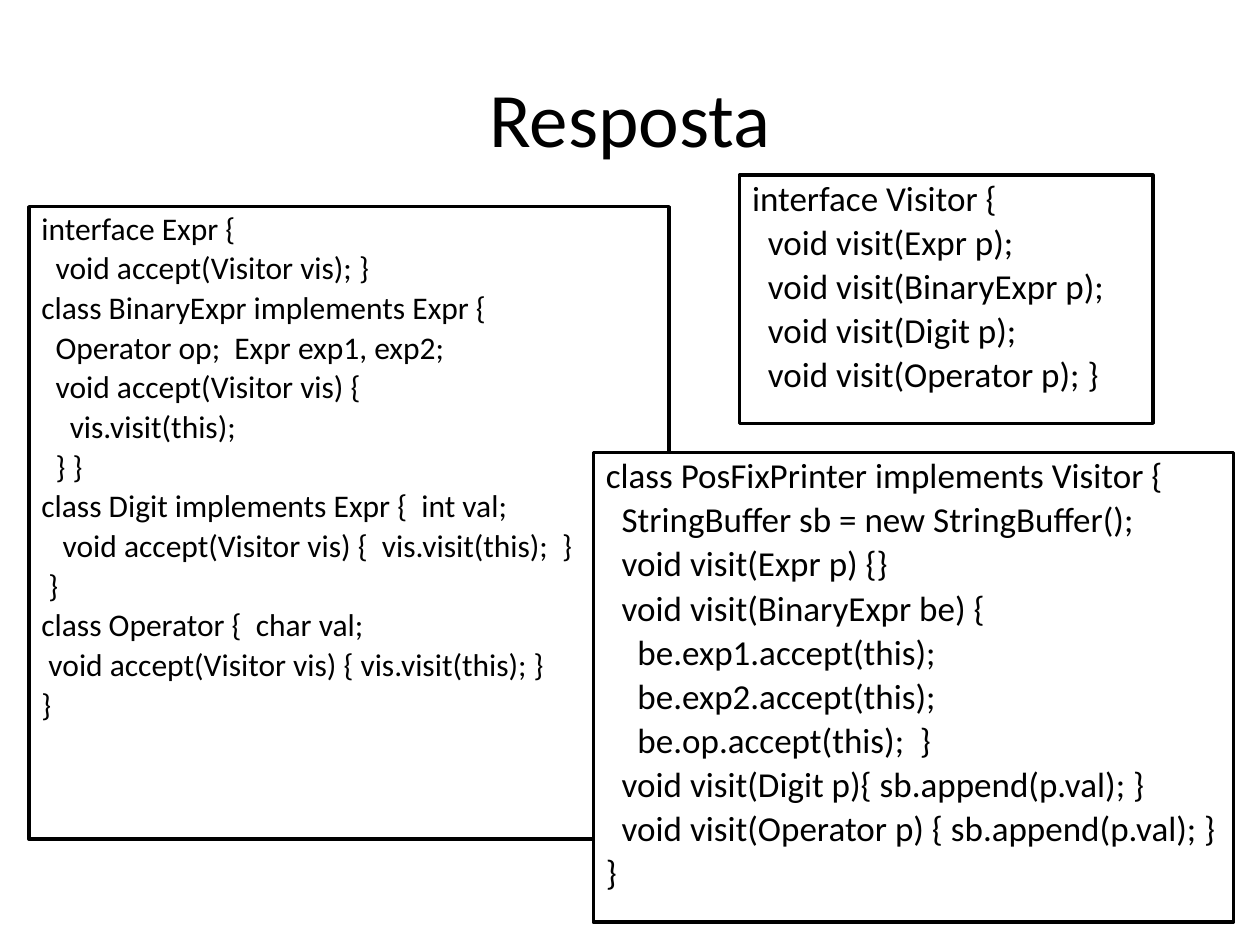
"""Build the answer slide with three framed code listings."""
from pptx import Presentation
from pptx.dml.color import RGBColor
from pptx.enum.shapes import MSO_SHAPE
from pptx.enum.text import MSO_ANCHOR, PP_ALIGN
from pptx.util import Inches, Pt

BLACK = RGBColor(0, 0, 0)
WHITE = RGBColor(255, 255, 255)
FONT = "Calibri"
TITLE = "Resposta"
TITLE_AREA = (0.5, 0.3, 9, 1.25)
LINE_SPACING = 0.9
SPACE_SHARE = 0.18

LISTINGS = [
    {"area": (0.23, 1.64, 5.08, 5.02), "size": 18, "lines": [
        "interface Expr { ",
        "  void accept(Visitor vis); }",
        "class BinaryExpr implements Expr {",
        "  Operator op;  Expr exp1, exp2;",
        "  void accept(Visitor vis) {",
        "    vis.visit(this);",
        "  } }",
        "class Digit implements Expr {  int val;",
        "   void accept(Visitor vis) {  vis.visit(this);  }",
        " }",
        "class Operator {  char val;",
        " void accept(Visitor vis) { vis.visit(this); }",
        "}",
    ]},
    {"area": (5.87, 1.39, 3.28, 1.97), "size": 20, "lines": [
        "interface Visitor {",
        "  void visit(Expr p);",
        "  void visit(BinaryExpr p);",
        "  void visit(Digit p);",
        "  void visit(Operator p); }",
    ]},
    {"area": (4.71, 3.59, 5.08, 3.73), "size": 20, "lines": [
        "class PosFixPrinter implements Visitor {",
        "  StringBuffer sb = new StringBuffer();",
        "  void visit(Expr p) {}",
        "  void visit(BinaryExpr be) {",
        "    be.exp1.accept(this);",
        "    be.exp2.accept(this);",
        "    be.op.accept(this);  }",
        "  void visit(Digit p){ sb.append(p.val); }",
        "  void visit(Operator p) { sb.append(p.val); }",
        "}",
    ]},
]


def write_lines(box, lines, size, align, anchor):
    frame = box.text_frame
    frame.word_wrap = True
    frame.vertical_anchor = anchor
    frame.text = "\n".join(lines)
    for para in frame.paragraphs:
        para.alignment = align
        for span in para.runs:
            span.font.name = FONT
            span.font.size = Pt(size)
            span.font.color.rgb = BLACK


def add_listing(page, area, size, lines):
    box = page.shapes.add_shape(MSO_SHAPE.RECTANGLE, *map(Inches, area))
    box.shadow.inherit = False
    box.fill.solid()
    box.fill.fore_color.rgb = WHITE
    box.line.color.rgb = BLACK
    box.line.width = Pt(2)
    write_lines(box, lines, size, PP_ALIGN.LEFT, MSO_ANCHOR.TOP)
    for para in box.text_frame.paragraphs:
        para.line_spacing = LINE_SPACING
        para.space_before = Pt(size * SPACE_SHARE)
        properties = para._p.get_or_add_pPr()
        properties.set("marL", str(Inches(0.38)))
        properties.set("indent", str(-Inches(0.38)))


deck = Presentation()
deck.slide_width, deck.slide_height = Inches(10), Inches(7.5)
page = deck.slides.add_slide(deck.slide_layouts[6])
title = page.shapes.add_textbox(*map(Inches, TITLE_AREA))
write_lines(title, [TITLE], 44, PP_ALIGN.CENTER, MSO_ANCHOR.MIDDLE)
for listing in LISTINGS:
    add_listing(page, **listing)
deck.save("out.pptx")
